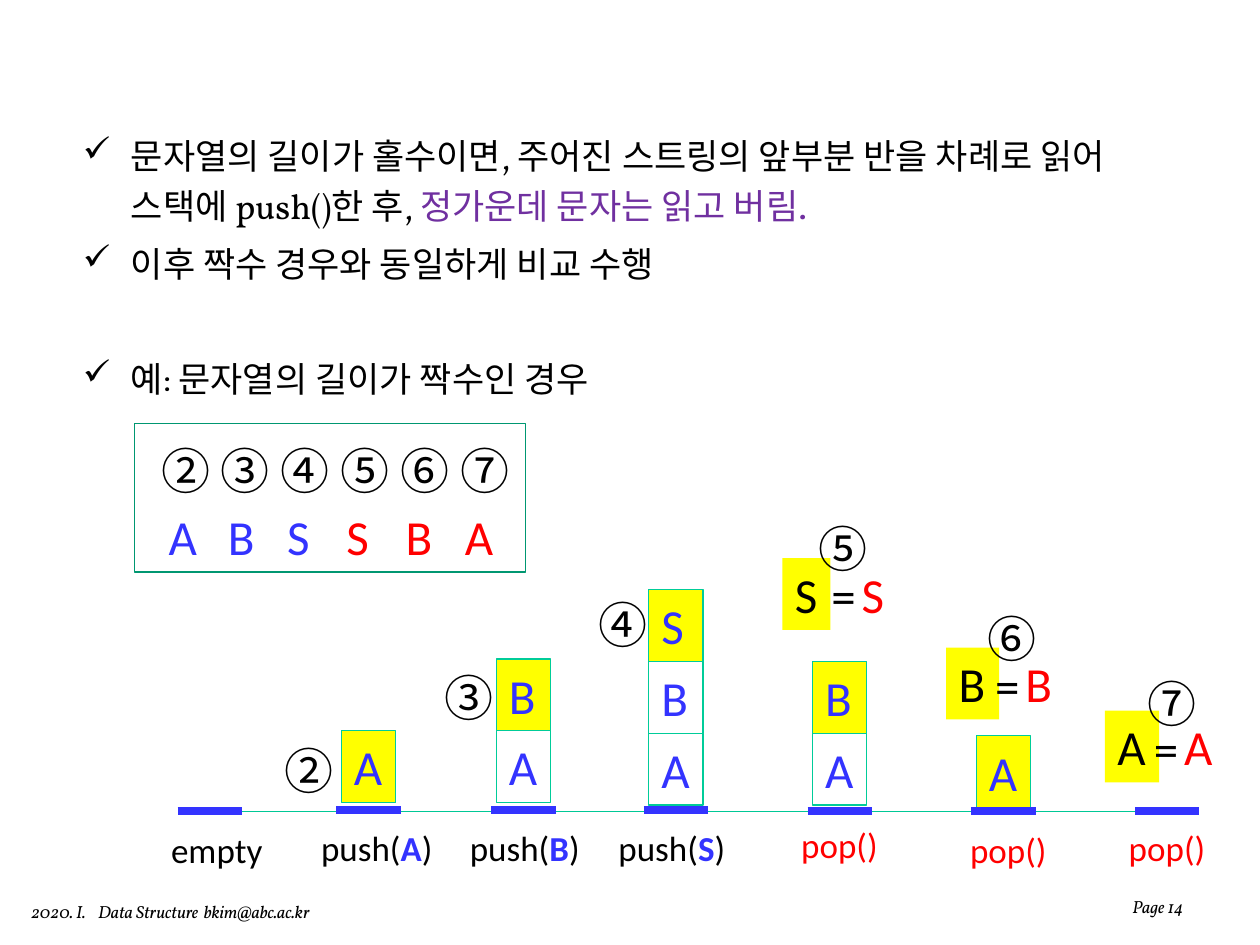
from dataclasses import dataclass
from typing import NamedTuple, Optional

from lxml.etree import SubElement
from pptx import Presentation
from pptx.dml.color import RGBColor
from pptx.enum.shapes import MSO_CONNECTOR as Connector, MSO_SHAPE as Preset
from pptx.enum.text import MSO_ANCHOR as Anchor, MSO_AUTO_SIZE as AutoSize, PP_ALIGN as Align
from pptx.oxml.ns import qn
from pptx.util import Inches, Pt

COLORS = {"black": "000000", "blue": "3333FF", "red": "FF0000", "purple": "7030A0",
          "yellow": "FFFF00", "cell": "00CC99", "floor": "00C896", "frame": "009771"}
LATIN, SERIF, HANGUL = "Calibri", "Vollkorn", "Noto Sans CJK KR"
COLUMNS, ROWS = 100, 75
CELL_W, CELL_H = 4.3, 5.7
BAR_W, CELL_INSET = 5.1, 0.4
GLYPH_W = {"S": 3.8, "B": 4.2, "A": 4.3}


class Box(NamedTuple):
    """Place on the grid, in columns and rows."""
    left: float
    top: float
    width: float
    height: float


class Words(NamedTuple):
    """One run of text and its look."""
    text: str
    color: str = "black"
    bold: bool = False


@dataclass(frozen=True)
class Step:
    """One state of the stack, its cells listed from bottom to top."""
    left: float
    bar_row: float
    label: tuple[Words, ...]
    label_box: Box
    cells: str = ""
    base: float = 64
    marker: str = ""
    marker_at: tuple[float, float] = (0, 0)
    compared: str = ""
    compared_at: tuple[float, float] = (0, 0)


def push(letter: str) -> tuple[Words, ...]:
    """Return the label of a push step."""
    return Words("push("), Words(letter, "blue", True), Words(")")


POP = (Words("pop()", "red"),)
STEPS = (
    Step(14.1, 64.4, (Words("empty"),), Box(12.6, 65.3, 9.3, 4.4)),
    Step(26.7, 64.3, push("A"), Box(24.5, 65.1, 10.9, 4.4), "A", 63.7, "②", (21.6, 58.3)),
    Step(39, 64.3, push("B"), Box(36.3, 65.1, 10.8, 4.4), "AB", 63.7, "③", (34.3, 52.5)),
    Step(51.1, 64.3, push("S"), Box(48.1, 65.1, 10.6, 4.4), "ABS", 63.9, "④", (46.5, 46.7)),
    Step(64.1, 64.4, POP, Box(62.6, 64.9, 8.2, 4.4), "AB", 63.9, "⑤", (64, 40.7), "S", (62.1, 44.3)),
    Step(77.1, 64.4, POP, Box(76, 65.3, 8.2, 4.4), "A", 64.1, "⑥", (77.4, 47.8), "B", (75.1, 51.4)),
    Step(90.1, 64.4, POP, Box(88.6, 65.1, 8.2, 4.4), "", 64, "⑦", (90.1, 53), "A", (87.7, 56.4)),
)
BULLETS = (
    ((Words("문자열의 길이가 홀수이면, 주어진 스트링의 앞부분 반을 차례로 읽어 스택에 push()한 후, "),
      Words("정가운데 문자는 읽고 버림.", "purple")), 4),
    ((Words("이후 짝수 경우와 동일하게 비교 수행"),), 4),
    ((Words("예: 문자열의 길이가 짝수인 경우"),), 37),
)

deck = Presentation()
deck.slide_width, deck.slide_height = Inches(10), Inches(7.5)
slide = deck.slides.add_slide(deck.slide_layouts[6])


def across(columns: float) -> int:
    """Turn columns into a length."""
    return round(deck.slide_width * columns / COLUMNS)


def down(rows: float) -> int:
    """Turn rows into a length."""
    return round(deck.slide_height * rows / ROWS)


def place(box: Box) -> tuple[int, int, int, int]:
    """Turn a grid box into slide lengths."""
    return across(box.left), down(box.top), across(box.width), down(box.height)


def rgb(name: str) -> RGBColor:
    """Look up a colour."""
    return RGBColor.from_string(COLORS[name])


def write(paragraph, runs, size: float, font: str, italic: bool = False) -> None:
    """Add styled runs to a paragraph."""
    for words in runs:
        run = paragraph.add_run()
        run.text = words.text
        run.font.size, run.font.name = Pt(size), font
        run.font.bold, run.font.italic = words.bold, italic
        run.font.color.rgb = rgb(words.color)
        SubElement(run.font._element, qn("a:ea")).set("typeface", HANGUL)


def add_text(box: Box, runs, size: float = 28, font: str = LATIN, italic: bool = False,
             wrap: bool = False, tabs: tuple[float, ...] = ()):
    """Add a one-paragraph text box with optional tab stops."""
    label = slide.shapes.add_textbox(*place(box))
    label.text_frame.word_wrap = wrap
    paragraph = label.text_frame.paragraphs[0]
    write(paragraph, runs, size, font, italic)
    if tabs:
        stops = SubElement(paragraph._p.get_or_add_pPr(), qn("a:tabLst"))
        for column in tabs:
            SubElement(stops, qn("a:tab"), pos=str(across(column)), algn="l")
    return label


def add_box(box: Box, letter: Optional[Words] = None, fill: str = "", line: str = "") -> None:
    """Add a rectangle that may hold one letter."""
    cell = slide.shapes.add_shape(Preset.RECTANGLE, *place(box))
    cell.shadow.inherit = False
    if fill:
        cell.fill.solid()
        cell.fill.fore_color.rgb = rgb(fill)
    else:
        cell.fill.background()
    if line:
        cell.line.color.rgb, cell.line.width = rgb(line), Pt(0.75)
    else:
        cell.line.fill.background()
    if letter:
        frame = cell.text_frame
        frame.word_wrap, frame.auto_size = False, AutoSize.SHAPE_TO_FIT_TEXT
        frame.vertical_anchor = Anchor.TOP
        frame.paragraphs[0].alignment = Align.LEFT
        write(frame.paragraphs[0], [letter], 28, LATIN)


def add_line(left: float, right: float, row: float, color: str, width: float) -> None:
    """Add a level line."""
    line = slide.shapes.add_connector(Connector.STRAIGHT, across(left), down(row), across(right), down(row))
    line.line.color.rgb, line.line.width = rgb(color), Pt(width)
    SubElement(line._element.spPr, qn("a:effectLst"))


def add_bullets(box: Box) -> None:
    """Add the checked list."""
    frame = slide.shapes.add_textbox(*place(box)).text_frame
    frame.word_wrap = True
    for index, (runs, gap) in enumerate(BULLETS):
        paragraph = frame.add_paragraph() if index else frame.paragraphs[0]
        paragraph.line_spacing, paragraph.space_before = 1.2, Pt(gap)
        props = paragraph._p.get_or_add_pPr()
        props.set("marL", str(across(3.8)))
        props.set("indent", str(-across(3.8)))
        SubElement(props, qn("a:buChar"), char="✓")
        write(paragraph, runs, 20, SERIF)


def add_step(step: Step) -> None:
    """Draw one stack with its bar, label, marker and comparison."""
    for level, letter in enumerate(step.cells, 1):
        box = Box(step.left + CELL_INSET, step.base - level * CELL_H, CELL_W, CELL_H)
        add_box(box, Words(letter, "blue"), "yellow" if level == len(step.cells) else "", "cell")
    add_line(step.left, step.left + BAR_W, step.bar_row, "blue", 4.5)
    add_text(step.label_box, step.label, 20)
    if step.compared:
        left, top = step.compared_at
        width = GLYPH_W[step.compared]
        add_box(Box(left, top, width, CELL_H), Words(step.compared), "yellow")
        add_text(Box(left + 5.3, top, width, CELL_H), [Words(step.compared, "red")])
        add_text(Box(left + 2.9, top + 0.1, 4, CELL_H), [Words("=")])
    if step.marker:
        add_text(Box(*step.marker_at, 5.5, CELL_H), [Words(step.marker)], font=HANGUL)


add_text(Box(1.5, 71, 25.8, 2.7), [Words("2020. I.\tData Structure\tbkim@abc.ac.kr")],
         10, SERIF, True, tabs=(5.3, 13.7))
add_bullets(Box(5.6, 9.5, 91.2, 25.4))
add_line(18.8, 94.8, 64.4, "floor", 0.75)
for state in STEPS:
    add_step(state)
add_box(Box(10.7, 33.6, 31, 11.8), line="frame")
add_text(Box(11.8, 34.5, 29.9, CELL_H), [Words("② ③ ④ ⑤ ⑥ ⑦")], font=HANGUL, wrap=True)
add_text(Box(12.4, 39.7, 29.2, CELL_H), [Words("A\tB\tS\t", "blue"), Words("S\tB\tA", "red")],
         wrap=True, tabs=tuple(4.7 * stop for stop in range(1, 6)))
page = add_text(Box(76.7, 68.3, 18.2, 5), [Words("Page 14")], 10, SERIF, True, wrap=True)
page.text_frame.vertical_anchor = Anchor.BOTTOM
page.text_frame.paragraphs[0].alignment = Align.RIGHT
deck.save("out.pptx")
